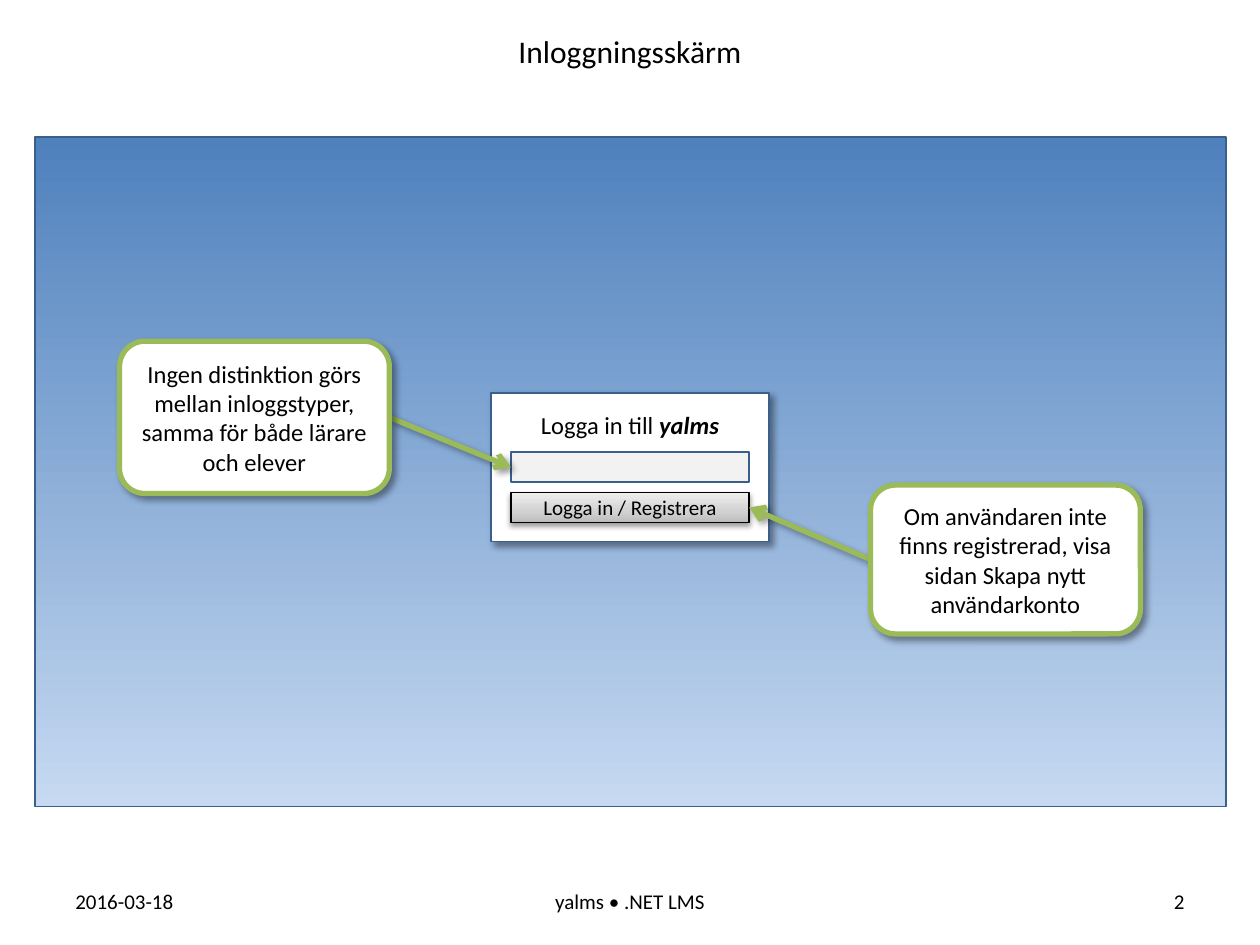
from dataclasses import dataclass

from lxml import etree
from pptx import Presentation
from pptx.dml.color import RGBColor
from pptx.enum.shapes import MSO_CONNECTOR, MSO_SHAPE
from pptx.enum.text import MSO_ANCHOR, PP_ALIGN
from pptx.oxml.ns import qn
from pptx.util import Cm, Pt

RECT, ROUNDED = MSO_SHAPE.RECTANGLE, MSO_SHAPE.ROUNDED_RECTANGLE
STRAIGHT = MSO_CONNECTOR.STRAIGHT
LEFT, CENTER, RIGHT = PP_ALIGN.LEFT, PP_ALIGN.CENTER, PP_ALIGN.RIGHT
TOP, MIDDLE = MSO_ANCHOR.TOP, MSO_ANCHOR.MIDDLE
LEFT_SITE, RIGHT_SITE = 1, 3  # connection sites of a rectangle


@dataclass(frozen=True)
class Theme:
    font: str = "Calibri"
    title: int = 18
    body: int = 14
    small: int = 12
    black: str = "000000"
    white: str = "FFFFFF"
    field: str = "F2F2F2"
    border: str = "3A5F8C"
    accent: str = "9BBB59"
    # Gradient stops as (percent, colour)
    screen: tuple = ((0, "4F81BD"), (100, "C6D9F1"))
    button: tuple = ((0, "BDBDBD"), (35, "D1D1D1"), (100, "EEEEEE"))
    # Shadows as (opacity percent, blur pt, distance pt, angle)
    soft: tuple = (40, 4, 3, 45)
    low: tuple = (38, 3.1, 1.6, 90)


T = Theme()


def add_run(p, text, size=T.body, bold=None, italic=None):
    r = p.add_run()
    r.text = text
    f = r.font
    f.name, f.size, f.bold, f.italic = T.font, Pt(size), bold, italic
    f.color.rgb = RGBColor.from_string(T.black)


def set_text(sp, text, size=T.body, align=CENTER, anchor=MIDDLE):
    tf = sp.text_frame
    tf.word_wrap = True
    tf.vertical_anchor = anchor
    p = tf.paragraphs[0]
    p.alignment = align
    add_run(p, text, size)
    return p


def add_label(s, box, text, **fmt):
    set_text(s.shapes.add_textbox(*map(Cm, box)), text, **fmt)


def set_shadow(spPr, shadow):
    """Give the shape properties an effect list, empty if shadow is None."""
    effects = etree.SubElement(spPr, qn("a:effectLst"))
    if shadow:
        opacity, blur, dist, angle = shadow
        outer = etree.SubElement(
            effects, qn("a:outerShdw"), blurRad=str(Pt(blur)), dist=str(Pt(dist)),
            dir=str(angle * 60000), algn="tl", rotWithShape="0")
        clr = etree.SubElement(outer, qn("a:srgbClr"), val=T.black)
        etree.SubElement(clr, qn("a:alpha"), val=str(opacity * 1000))


def set_gradient(sp, stops, angle):
    sp.fill.gradient()
    sp.fill.gradient_angle = angle
    stop_list = sp._element.spPr.find(".//" + qn("a:gsLst"))
    for old in list(stop_list):
        stop_list.remove(old)
    for pos, color in stops:
        gs = etree.SubElement(stop_list, qn("a:gs"), pos=str(pos * 1000))
        etree.SubElement(gs, qn("a:srgbClr"), val=color)


def add_box(s, box, kind=RECT, fill=None, gradient=None, angle=0,
            line=T.border, width=1, shadow=None):
    sp = s.shapes.add_shape(kind, *map(Cm, box))
    if gradient:
        set_gradient(sp, gradient, angle)
    else:
        sp.fill.solid()
        sp.fill.fore_color.rgb = RGBColor.from_string(fill)
    sp.line.color.rgb = RGBColor.from_string(line)
    sp.line.width = Pt(width)
    set_shadow(sp._element.spPr, shadow)
    return sp


def add_callout(s, box, text, site, target, target_site):
    """Rounded note over an arrow that points at the target shape."""
    cx = s.shapes.add_connector(STRAIGHT, 0, 0, 0, 0)
    cx.line.color.rgb = RGBColor.from_string(T.accent)
    cx.line.width = Pt(3)
    etree.SubElement(cx.line._get_or_add_ln(), qn("a:tailEnd"), type="arrow")
    set_shadow(cx._element.spPr, T.soft)

    sp = add_box(s, box, ROUNDED, fill=T.white, line=T.accent, width=3,
                 shadow=T.soft)
    set_text(sp, text)
    cx.begin_connect(sp, site)
    cx.end_connect(target, target_site)


def add_login(s):
    """Login panel; returns its input field and its button."""
    panel = add_box(s, (9.9, 7.92, 5.6, 3), fill=T.white, shadow=T.soft)
    p = set_text(panel, "Logga in till ", anchor=TOP)
    panel.text_frame.margin_top = Cm(0.34)
    add_run(p, "yalms", bold=True, italic=True)

    field = add_box(s, (10.3, 9.12, 4.8, 0.6), fill=T.field)
    button = add_box(s, (10.3, 9.93, 4.8, 0.6), gradient=T.button, angle=90,
                     line=T.black, width=0.75, shadow=T.low)
    set_text(button, "Logga in / Registrera", T.small)
    return field, button


def main():
    prs = Presentation()
    prs.slide_width, prs.slide_height = Cm(25.4), Cm(19.05)
    s = prs.slides.add_slide(prs.slide_layouts[6])

    # Footer
    for x, w, text, align in ((1.27, 5.93, "2016-03-18", LEFT),
                              (8.68, 8.04, "yalms • .NET LMS", CENTER),
                              (18.2, 5.93, "2", RIGHT)):
        add_label(s, (x, 17.65, w, 1.02), text, size=T.small, align=align)

    # Screen and title
    add_box(s, (0.71, 2.77, 24, 13.49), gradient=T.screen, angle=270)
    add_label(s, (0, 0.53, 25.4, 1.02), "Inloggningsskärm", size=T.title,
              anchor=TOP)

    # Login panel with its notes
    field, button = add_login(s)
    add_callout(s, (2.41, 6.88, 5.44, 3.07),
                "Ingen distinktion görs mellan inloggstyper, "
                "samma för både lärare och elever",
                RIGHT_SITE, field, LEFT_SITE)
    add_callout(s, (17.55, 9.78, 5.44, 3),
                "Om användaren inte finns registrerad, "
                "visa sidan Skapa nytt användarkonto",
                LEFT_SITE, button, RIGHT_SITE)

    prs.save("out.pptx")


if __name__ == "__main__":
    main()
